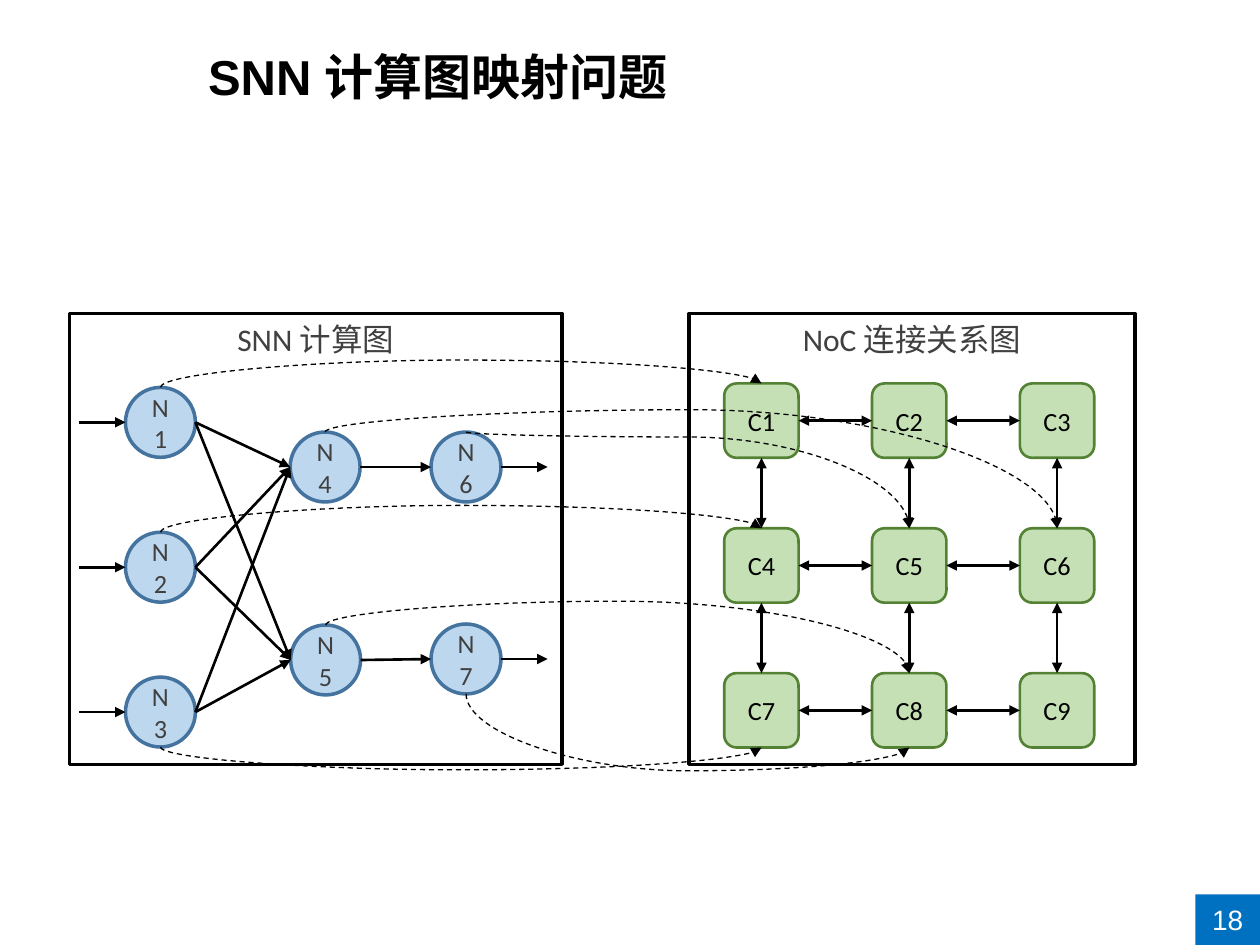
from lxml import etree
from pptx import Presentation, util as u
from pptx.dml.color import RGBColor
from pptx.enum import dml, shapes, text
from pptx.oxml.ns import qn

Cm = u.Cm
KIND = shapes.MSO_SHAPE
LINK = shapes.MSO_CONNECTOR
ALIGN = text.PP_ALIGN
ANCHOR = text.MSO_ANCHOR


def color(hex_code):
    return RGBColor.from_string(hex_code)


class Diagram:
    """Style and current slide; all coordinates are in centimetres."""
    body, heading = "Calibri", "Arial"
    ink, grey = "000000", "404040"

    def __init__(self, prs):
        self.s = prs.slides.add_slide(prs.slide_layouts[5])
        self.target = self.s.shapes

    def start_group(self):
        self.target = self.s.shapes.add_group_shape().shapes

    def end_group(self):
        self.target = self.s.shapes

    def set_text(self, sp, words, font, size, ink, align, anchor, bold=False):
        tf = sp.text_frame
        tf.word_wrap = True
        tf.vertical_anchor = anchor
        p = tf.paragraphs[0]
        p.text = words
        p.alignment = align
        p.font.name, p.font.size, p.font.bold = font, u.Pt(size), bold
        p.font.color.rgb = color(ink)

    def title(self, words, x, y, w, h):
        sp = self.s.shapes.title
        sp.left, sp.top, sp.width, sp.height = map(Cm, (x, y, w, h))
        self.set_text(sp, words, self.heading, 28, self.ink, ALIGN.LEFT,
                      ANCHOR.MIDDLE, bold=True)

    def box(self, kind, words, x, y, w, h, fill=None, line=None, weight=2,
            size=15, ink=ink, font=body, anchor=ANCHOR.MIDDLE):
        sp = self.target.add_shape(kind, Cm(x), Cm(y), Cm(w), Cm(h))
        sp.shadow.inherit = False
        if fill:
            sp.fill.solid()
            sp.fill.fore_color.rgb = color(fill)
        else:
            sp.fill.background()
        if line:
            sp.line.color.rgb = color(line)
            sp.line.width = u.Pt(weight)
        else:
            sp.line.fill.background()
        self.set_text(sp, words, font, size, ink, ALIGN.CENTER, anchor)

    def core(self, words, x, y, size):
        self.box(KIND.ROUNDED_RECTANGLE, words, x, y, size, size, "C5E0B4", "548235", 1.5)

    def neuron(self, words, x, y, size):
        self.box(KIND.OVAL, words, x, y, size, size, "BDD7EE", "43739E", ink=self.grey)

    def panel(self, words, x, y, w, h):
        self.box(KIND.RECTANGLE, words, x, y, w, h, line=self.ink, size=18,
                 ink=self.grey, anchor=ANCHOR.TOP)

    def connector(self, kind, start, end, weight, ends, dash=None):
        c = self.target.add_connector(kind, *map(Cm, (*start, *end)))
        c.line.color.rgb = color(self.ink)
        c.line.width = u.Pt(weight)
        if dash:
            c.line.dash_style = dash
        ln = c._element.spPr.find(qn("a:ln"))
        for tag in ends:
            etree.SubElement(ln, qn(tag), type="triangle")
        etree.SubElement(c._element.spPr, qn("a:effectLst"))
        return c

    def arrow(self, start, end, both=False):
        ends = ("a:headEnd", "a:tailEnd") if both else ("a:tailEnd",)
        self.connector(LINK.STRAIGHT, start, end, 1.5, ends)

    def mapping(self, start, end, bend):
        """Dashed curve leaving and arriving vertically, turning at height bend."""
        (x0, y0), (x1, y1) = start, end
        cx, cy = (x0 + x1) / 2, (y0 + y1) / 2
        w, h = abs(y1 - y0), abs(x1 - x0)
        c = self.connector(LINK.CURVE, (cx - w / 2, cy - h / 2),
                           (cx + w / 2, cy + h / 2), 0.75,
                           ("a:tailEnd",), dml.MSO_LINE.DASH)
        # The preset runs sideways, so it is turned a quarter
        rising = y1 < y0
        xfrm = c._element.spPr.find(qn("a:xfrm"))
        xfrm.set("rot", str((90 if rising else 270) * 60000))
        xfrm.set("flipH", "1")
        if rising:
            xfrm.set("flipV", "1")
        geom = c._element.spPr.find(qn("a:prstGeom"))
        guides = geom.find(qn("a:avLst"))
        if guides is None:
            guides = etree.SubElement(geom, qn("a:avLst"))
        ratio = round((bend - y0) / (y1 - y0) * 100000)
        etree.SubElement(guides, qn("a:gd"), name="adj1", fmla=f"val {ratio}")


def side(corner, size, dx, dy):
    """Point on a square's edge; dx and dy run from -1 to 1 from its centre."""
    return corner[0] + size * (1 + dx) / 2, corner[1] + size * (1 + dy) / 2


def main():
    prs = Presentation()
    prs.slide_width, prs.slide_height = Cm(25.4), Cm(19.05)
    d = Diagram(prs)

    # Title and page number
    d.title("SNN 计算图映射问题", 3.94, 0.74, 19.76, 1.6)
    d.box(KIND.RECTANGLE, "18", 24.1, 18.03, 1.3, 1.02, "0070C0",
          size=16, ink="FFFFFF", font=d.heading)

    # Grid of cores, linked to the right and downwards
    row_gap = 2.92
    core_size = 1.5
    cores = {r * 3 + c + 1: (14.6 + c * 2.98, 7.73 + r * row_gap)
             for r in range(3) for c in range(3)}
    d.start_group()
    for n, spot in cores.items():
        d.core(f"C{n}", *spot, core_size)
    for n, spot in cores.items():
        if n % 3:
            d.arrow(side(spot, core_size, 1, 0),
                    side(cores[n + 1], core_size, -1, 0), both=True)
        if n <= 6:
            d.arrow(side(spot, core_size, 0, 1),
                    side(cores[n + 3], core_size, 0, -1), both=True)

    # Neuron layers: 1-3 input, 4-5 hidden, 6-7 output
    neuron_size, stub = 1.41, 0.94
    neurons = {n: (2.53, 7.81 + (n - 1) * row_gap) for n in (1, 2, 3)}
    neurons |= {4: (5.85, 8.71), 5: (5.86, 12.6), 6: (8.69, 8.71), 7: (8.69, 12.58)}
    edges = [(a, b) for a in (1, 2, 3) for b in (4, 5)] + [(4, 6), (5, 7)]
    d.start_group()
    for n, spot in neurons.items():
        d.neuron(f"N{n}", *spot, neuron_size)
    for a, b in edges:
        d.arrow(side(neurons[a], neuron_size, 1, 0),
                side(neurons[b], neuron_size, -1, 0))
    for n in (1, 2, 3):
        x, y = side(neurons[n], neuron_size, -1, 0)
        d.arrow((x - stub, y), (x, y))
    for n in (6, 7):
        x, y = side(neurons[n], neuron_size, 1, 0)
        d.arrow((x, y), (x + stub, y))
    d.end_group()

    # Frames
    d.panel("SNN 计算图", 1.4, 6.32, 9.93, 9.09)
    d.panel("NoC 连接关系图", 13.89, 6.32, 8.99, 9.09)

    # Neuron-to-core mapping: neuron, core, edge (-1 top, 1 bottom), bend height
    for n, c, edge, bend in [(1, 1, -1, 7.26), (2, 4, -1, 10.19), (3, 7, 1, 15.52),
                             (5, 8, -1, 12.12), (7, 8, 1, 15.54),
                             (6, 5, -1, 8.81), (4, 6, -1, 8.26)]:
        d.mapping(side(neurons[n], neuron_size, 0, edge),
                  side(cores[c], core_size, 0, edge), bend)

    prs.save("out.pptx")


if __name__ == "__main__":
    main()
